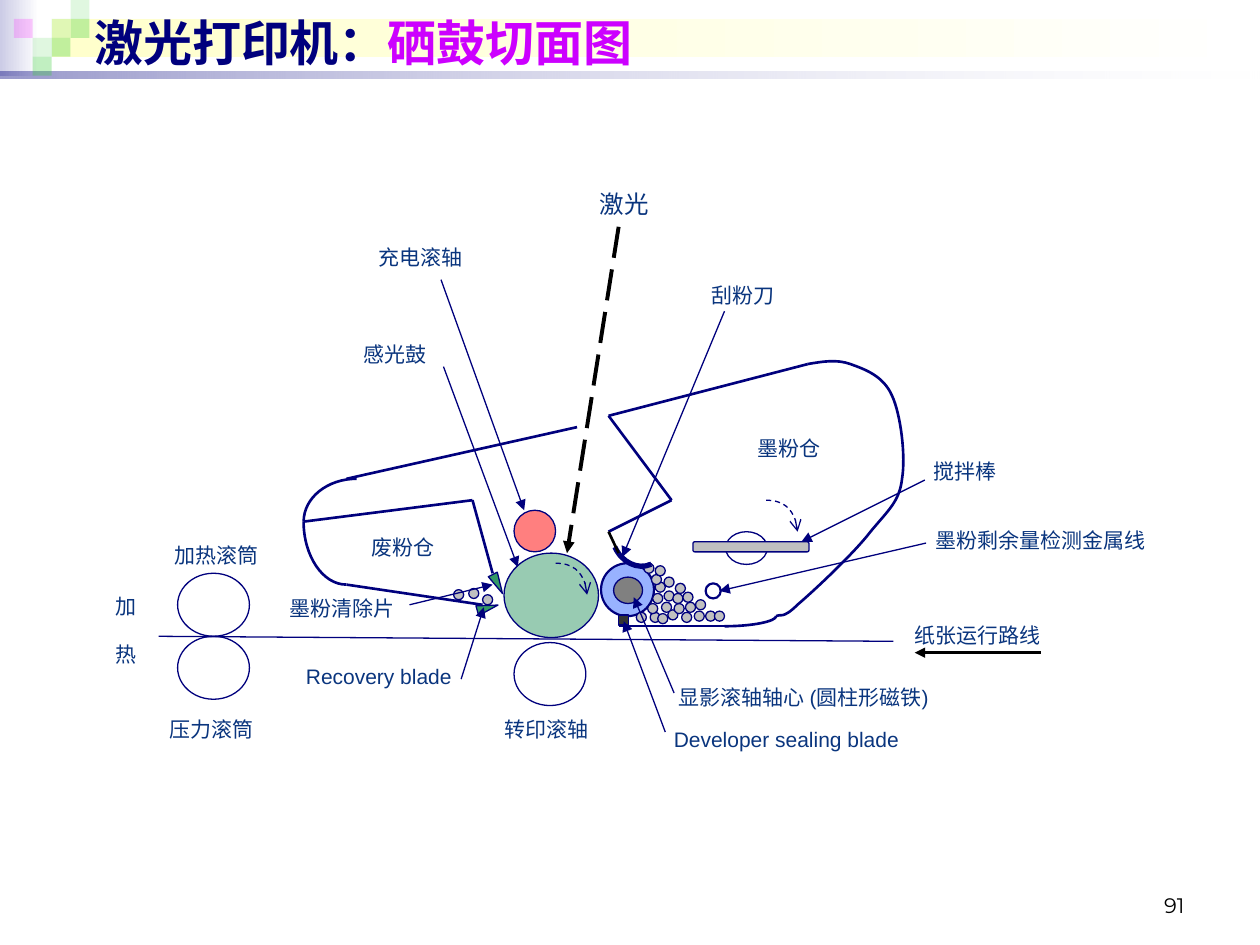
from lxml import etree
from pptx import Presentation
from pptx import util as u
from pptx.dml.color import RGBColor
from pptx.enum import dml, shapes, text
from pptx.oxml.ns import qn

COLORS = {
    "navy": "00007D", "magenta": "CC00FF", "label": "0A357E", "black": "000000",
    "white": "FFFFFF", "lavender": "CCCCE6", "cream": "FFFFCC", "green": "33CC33",
    "pink": "FF00FF", "drum": "339966", "red": "FF0000", "blue": "3366FF",
    "silver": "C0C0C0", "gray": "808080", "dark": "333333",
}
C = {name: RGBColor.from_string(code) for name, code in COLORS.items()}
KIND = shapes.MSO_SHAPE
DASH = dml.MSO_LINE

prs = Presentation()
prs.slide_width, prs.slide_height = u.Inches(10), u.Inches(7.5)
s = prs.slides.add_slide(prs.slide_layouts[6])


def label(box, *paragraphs, size=12, color="label", font="Arial", bold=False,
          align=text.PP_ALIGN.LEFT, anchor=text.MSO_ANCHOR.TOP, spacing=None, before=0):
    """Add a text box; each paragraph is a string or a list of (string, color) runs."""
    tf = s.shapes.add_textbox(*map(u.Inches, box)).text_frame
    tf.word_wrap = True
    tf.vertical_anchor = anchor
    for i, runs in enumerate(paragraphs):
        p = tf.add_paragraph() if i else tf.paragraphs[0]
        p.alignment = align
        if spacing:
            p.line_spacing = spacing
        if i:
            p.space_before = u.Pt(before)
        for words, shade in [(runs, color)] if isinstance(runs, str) else runs:
            r = p.add_run()
            r.text = words
            r.font.name, r.font.size, r.font.bold = font, u.Pt(size), bold
            r.font.color.rgb = C[shade]


def outline(sp, width=0.75, color="navy", dash=None, arrow=None):
    """Set the line of a shape or connector and take its shadow away."""
    spPr = sp._element.spPr
    if width:
        sp.line.color.rgb = C[color]
        sp.line.width = u.Pt(width)
        if dash:
            sp.line.dash_style = dash
        if arrow:
            etree.SubElement(spPr.find(qn("a:ln")), qn("a:tailEnd"), type=arrow)
    else:
        sp.line.fill.background()
    etree.SubElement(spPr, qn("a:effectLst"))


# Header bands: box, gradient colours, opacities
for box, ends, opacities in [
    ((0, 0, 0.31, 0.6), ("lavender", "white"), (100, 100)),
    ((0.41, 0.15, 9.55, 0.3), ("cream", "white"), (100, 100)),
    ((0, 0.57, 10, 0.05), ("navy", "white"), (40, 10)),
]:
    sp = s.shapes.add_shape(KIND.RECTANGLE, *map(u.Inches, box))
    sp.fill.gradient()
    sp.fill.gradient_angle = 0
    for stop, name in zip(sp.fill.gradient_stops, ends):
        stop.color.rgb = C[name]
    for clr, opacity in zip(sp._element.spPr.iter(qn("a:srgbClr")), opacities):
        etree.SubElement(clr, qn("a:alpha"), val=str(opacity * 1000))
    outline(sp, width=0)

# Header tiles: column and row on a 0.15 inch grid
TILE = 0.15
tiles = [(2, 1, "green", 15), (3, 0, "green", 15), (3, 1, "green", 30), (1, 2, "green", 15),
         (0, 1, "pink", 20), (2, 2, "green", 30), (1, 3, "green", 30)]
parts = [(KIND.RECTANGLE, (0.11 + col * TILE, row * TILE, TILE, TILE), fill, opacity, 0, 0)
         for col, row, fill, opacity in tiles]

# Cartridge parts: kind, box, fill, opacity, line width, rotation
parts += [
    (KIND.OVAL, (4, 4.39, 0.75, 0.67), "drum", 50, 0.75, 0),
    (KIND.OVAL, (4.08, 4.05, 0.33, 0.33), "red", 50, 0.75, 0),
    (KIND.OVAL, (4.77, 4.47, 0.42, 0.42), "blue", 50, 1.25, 0),
    (KIND.OVAL, (4.08, 5.1, 0.57, 0.5), None, 100, 0.75, 0),
    (KIND.OVAL, (5.76, 4.22, 0.33, 0.26), None, 100, 0.75, 0),
    (KIND.ROUNDED_RECTANGLE, (5.5, 4.3, 0.92, 0.08), "silver", 100, 0.75, 0),
    (KIND.OVAL, (1.41, 5.05, 0.57, 0.5), None, 100, 0.75, 0),
    (KIND.OVAL, (1.41, 4.55, 0.57, 0.5), None, 100, 0.75, 0),
    (KIND.FLOWCHART_MERGE, (3.91, 4.55, 0.08, 0.17), "drum", 100, 0.75, 333),
    (KIND.FLOWCHART_EXTRACT, (3.83, 4.74, 0.08, 0.17), "drum", 100, 0.75, 74.6),
    (KIND.OVAL, (4.87, 4.58, 0.23, 0.21), "gray", 100, 0.75, 0),
    (KIND.RECTANGLE, (4.91, 4.88, 0.08, 0.08), "dark", 100, 0.75, 0),
    (KIND.OVAL, (5.6, 4.63, 0.12, 0.12), None, 100, 1.25, 0),
]

toner = [
    (5.05, 4.86), (5.16, 4.86), (5.22, 4.87), (5.3, 4.84), (5.35, 4.79), (5.25, 4.78),
    (5.51, 4.85), (5.41, 4.86), (5.14, 4.79), (5.6, 4.85), (5.18, 4.71), (5.67, 4.85),
    (5.2, 4.62), (5.17, 4.56), (5.11, 4.47), (5.27, 4.69), (5.34, 4.71), (5.44, 4.78),
    (5.42, 4.7), (5.52, 4.76), (5.36, 4.63), (5.27, 4.58), (5.2, 4.49),
    (3.6, 4.68), (3.72, 4.67), (3.83, 4.72),
]
parts += [(KIND.FLOWCHART_CONNECTOR, (x, y, 0.08, 0.08), "silver", 100, 0.75, 0)
          for x, y in toner]

for kind, box, fill, opacity, width, rotation in parts:
    sp = s.shapes.add_shape(kind, *map(u.Inches, box))
    sp.rotation = rotation
    if fill:
        sp.fill.solid()
        sp.fill.fore_color.rgb = C[fill]
        clr = sp._element.spPr.find(".//" + qn("a:srgbClr"))
        if opacity < 100:
            etree.SubElement(clr, qn("a:alpha"), val=str(opacity * 1000))
    else:
        sp.fill.background()
    outline(sp, width)

# Curves: a start point, then three points for each Bezier step; rotation; line
wall = {"width": 1.5}
turn = {"dash": DASH.DASH, "arrow": "arrow"}
for points, rotation, style in [
    ([(2.75, 4.64), (2.56, 4.64), (2.41, 4.41), (2.41, 4.14)], 0, wall),
    ([(2.83, 3.8), (2.6, 3.8), (2.41, 3.95), (2.41, 4.14)], 0, wall),
    ([(5.75, 4.97), (5.98, 4.97), (6.16, 4.93), (6.16, 4.89)], 0, wall),
    ([(6.41, 2.89), (6.53, 2.87), (6.64, 2.85), (6.75, 2.89),
      (6.86, 2.93), (7.01, 2.98), (7.08, 3.14), (7.15, 3.29), (7.19, 3.62), (7.16, 3.8),
      (7.14, 3.98), (7.05, 4.05), (6.91, 4.22), (6.78, 4.39), (6.46, 4.69), (6.33, 4.8),
      (6.21, 4.92), (6.19, 4.87), (6.16, 4.89)], 0, wall),
    ([(5.13, 4.53), (5.01, 4.53), (4.92, 4.42), (4.92, 4.29)], 336.5, {"width": 3}),
    ([(4.41, 4.47), (4.55, 4.47), (4.66, 4.58), (4.66, 4.72)], 0, turn),
    ([(6.08, 3.97), (6.22, 3.97), (6.33, 4.08), (6.33, 4.22)], 0, turn),
]:
    emu = [(u.Inches(x), u.Inches(y)) for x, y in points]
    builder = s.shapes.build_freeform(*emu[0])
    builder.add_line_segments(emu[1:], close=False)
    sp = builder.convert_to_shape()
    steps = list(sp._element.spPr.iter(qn("a:lnTo")))
    for i in range(0, len(steps), 3):
        bezier = etree.Element(qn("a:cubicBezTo"))
        steps[i].addprevious(bezier)
        for step in steps[i:i + 3]:
            bezier.append(step[0])
            step.getparent().remove(step)
    sp.rotation = rotation
    sp.fill.background()
    outline(sp, **style)

# Straight walls, paper path and laser, then the pointers from labels to parts
lines = [(ends, wall) for ends in [
    (3.83, 4.8, 2.75, 4.64), (2.75, 3.8, 4.58, 3.39), (4.91, 4.97, 5.75, 4.97),
    (4.83, 3.3, 6.41, 2.89), (2.41, 4.14, 3.75, 3.97), (3.91, 4.55, 3.75, 3.97),
    (4.83, 4.22, 5.33, 3.97), (5.33, 3.97, 4.83, 3.3),
]]
lines += [
    ((1.26, 5.05, 7.09, 5.09), {}),
    ((4.83, 4.22, 4.91, 4.39), {"width": 1.5, "color": "black"}),
    ((4.91, 1.8, 4.5, 4.39),
     {"width": 2.25, "color": "black", "dash": DASH.LONG_DASH, "arrow": "triangle"}),
    ((8.26, 5.18, 7.26, 5.18), {"width": 1.5, "color": "black", "arrow": "triangle"}),
]
lines += [(ends, {"arrow": "triangle"}) for ends in [
    (3.52, 2.91, 4.11, 4.5), (3.5, 2.22, 4.16, 4.05), (3.25, 4.8, 3.91, 4.64),
    (3.66, 5.39, 3.84, 4.82), (5.35, 5.5, 5.03, 4.74), (5.75, 2.47, 4.94, 4.42),
    (7.34, 3.81, 6.36, 4.3), (5.28, 5.81, 4.95, 4.93), (7.35, 4.31, 5.71, 4.69),
]]
for ends, style in lines:
    outline(s.shapes.add_connector(shapes.MSO_CONNECTOR.STRAIGHT, *map(u.Inches, ends)), **style)

label((0.65, 0.05, 9, 0.57), [("激光打印机：", "navy"), ("硒鼓切面图", "magenta")],
      size=28, bold=True, anchor=text.MSO_ANCHOR.MIDDLE)
label((4.66, 1.45, 0.67, 0.33), "激光", size=14)
for x, y, width, words in [
    (2.91, 1.89, 1.5, "充电滚轴"), (2.79, 2.66, 1.08, "感光鼓"), (1.29, 4.26, 1, "加热滚筒"),
    (1.25, 5.64, 0.92, "压力滚筒"), (3.91, 5.64, 1, "转印滚轴"), (2.2, 4.68, 1.1, "墨粉清除片"),
    (2.33, 5.22, 1.5, "Recovery blade"), (5.29, 5.38, 3.79, "显影滚轴轴心 (圆柱形磁铁)"),
    (5.55, 2.19, 1.17, "刮粉刀"), (7.31, 3.59, 1.33, "搅拌棒"), (7.16, 4.89, 1.33, "纸张运行路线"),
    (5.25, 5.72, 2, "Developer sealing blade"), (7.33, 4.14, 2, "墨粉剩余量检测金属线"),
]:
    label((x, y, width, 0.3), words)
for box, words in [((2.66, 4.22, 1.08, 0.25), "废粉仓"), ((5.47, 3.39, 1.58, 0.33), "墨粉仓")]:
    label(box, words, align=text.PP_ALIGN.CENTER, anchor=text.MSO_ANCHOR.MIDDLE)
label((0.75, 4.72, 0.5, 0.64), "加", "热", align=text.PP_ALIGN.CENTER, spacing=0.7, before=17)
label((7.17, 6.83, 2.33, 0.5), "91", color="black", font="Montserrat",
      align=text.PP_ALIGN.RIGHT, anchor=text.MSO_ANCHOR.BOTTOM)

prs.save("out.pptx")
